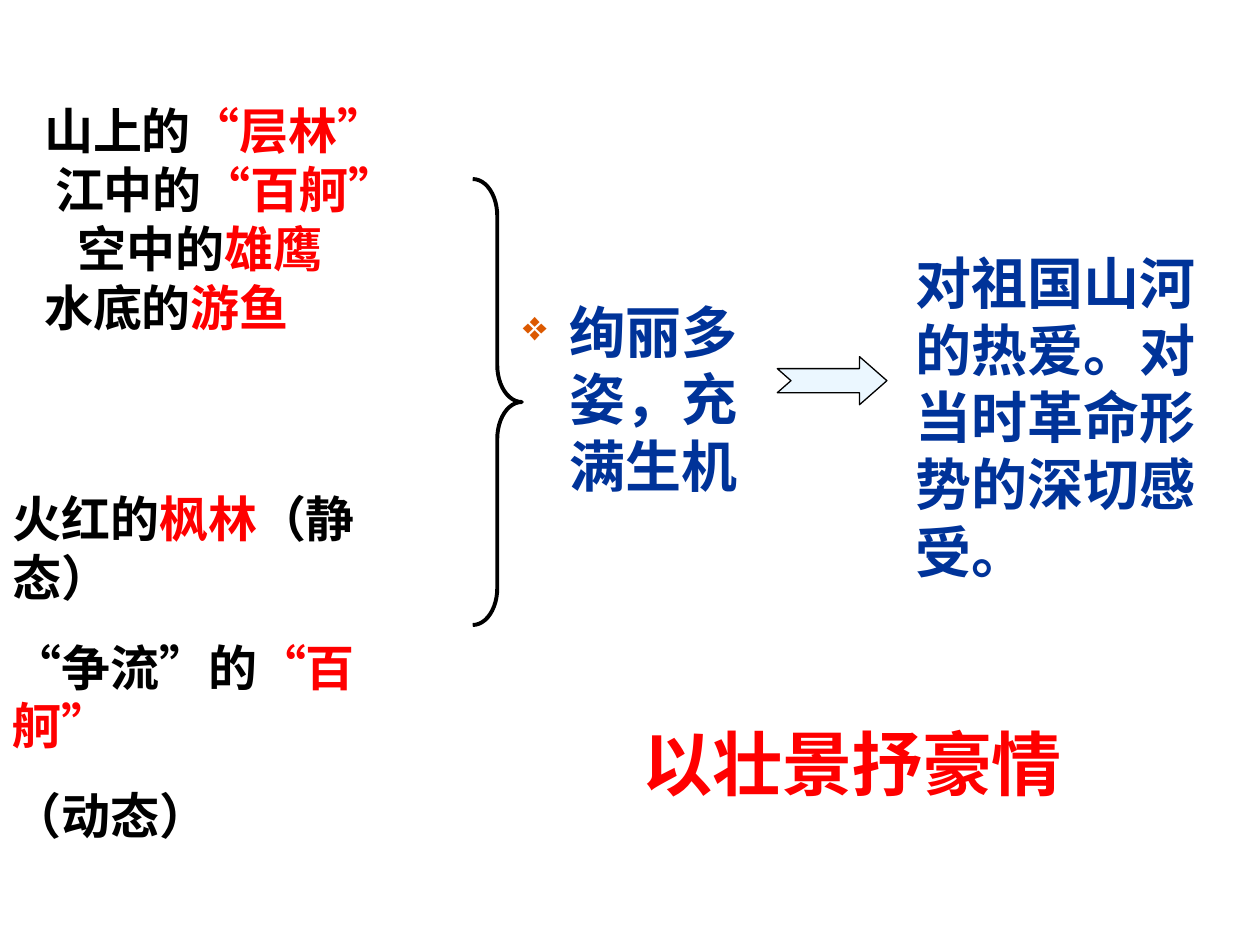
from lxml.etree import SubElement
from pptx import Presentation
from pptx.dml.color import RGBColor
from pptx.enum.lang import MSO_LANGUAGE_ID as Lang
from pptx.enum.shapes import MSO_SHAPE as Shape
from pptx.oxml.ns import qn
from pptx.util import Cm, Pt

BLACK = RGBColor(0x00, 0x00, 0x00)
RED = RGBColor(0xFF, 0x00, 0x00)
BLUE = RGBColor(0x00, 0x33, 0x99)
PALE = RGBColor(0xEB, 0xF7, 0xFF)
ORANGE = RGBColor(0xDC, 0x59, 0x00)
NOTO = "Noto Sans CJK SC"
ARIAL = "Arial"


class Board:
    """Holds the text style and the current slide."""

    def __init__(self, slide):
        self.slide = slide
        self.lang = Lang.SIMPLIFIED_CHINESE
        self.bold = True

    def text(self, box, lines, size, face, gap=0):
        """Each line is a list of (words, colour) parts."""
        frame = self.slide.shapes.add_textbox(*map(Cm, box)).text_frame
        frame.word_wrap = True
        for i, parts in enumerate(lines):
            para = frame.add_paragraph() if i else frame.paragraphs[0]
            para.space_before = Pt(gap if i else 0)
            for words, color in parts:
                run = para.add_run()
                run.text = words
                self.style(run.font, size, face, color)
        return frame

    def style(self, font, size, face, color):
        font.size, font.bold, font.name = Pt(size), self.bold, face
        font.color.rgb = color
        font.language_id = self.lang
        if face == NOTO:
            SubElement(font._element, qn("a:ea"), typeface=face)

    def indent(self, para, left, first=0):
        props = para._p.get_or_add_pPr()
        props.set("marL", str(Cm(left)))
        props.set("indent", str(Cm(first)))
        return props

    def bullet(self, para, mark, color, hang):
        props = self.indent(para, hang, -hang)
        tint = SubElement(props, qn("a:buClr"))
        SubElement(tint, qn("a:srgbClr"), val=str(color))
        SubElement(props, qn("a:buSzPct"), val="75000")
        SubElement(props, qn("a:buChar"), char=mark)

    def shape(self, kind, box, bends, width, fill=None):
        item = self.slide.shapes.add_shape(kind, *map(Cm, box))
        item.shadow.inherit = False
        for i, bend in enumerate(bends):
            item.adjustments[i] = bend
        if fill is None:
            item.fill.background()
        else:
            item.fill.solid()
            item.fill.fore_color.rgb = fill
        item.line.color.rgb = BLACK
        item.line.width = Pt(width)


def main():
    deck = Presentation()
    deck.slide_width, deck.slide_height = Cm(25.4), Cm(19.05)
    board = Board(deck.slides.add_slide(deck.slide_layouts[6]))

    # Scenes, each line stepped in by its own indent
    scenes = [("山上的", "“层林”", 0), ("江中的", "“百舸”", 0.22),
              ("空中的", "雄鹰", 0.68), ("水底的", "游鱼", 0)]
    lines = [[(place, BLACK), (sight, RED)] for place, sight, _ in scenes]
    frame = board.text((0.64, 1.91, 8.2, 13.41), lines, 28, NOTO)
    for para, (_, _, left) in zip(frame.paragraphs, scenes):
        board.indent(para, left)

    # Still and moving views
    views = [[("火红的", BLACK), ("枫林", RED), ("（静态）", BLACK)],
             [("“争流”的", BLACK), ("“百舸”", RED)],
             [("（动态）", BLACK)]]
    board.text((0, 9.73, 9.09, 9.22), views, 28, NOTO, gap=17.5)

    # Brace, shared quality, arrow and feeling
    board.shape(Shape.RIGHT_BRACE, (9.53, 3.61, 0.99, 8.99), (0.75, 0.5), 2.25)
    frame = board.text((10.29, 5.87, 5.49, 9.22),
                       [[("绚丽多姿，充满生机", BLUE)]], 32, NOTO)
    board.bullet(frame.paragraphs[0], "❖", ORANGE, 0.95)
    board.shape(Shape.NOTCHED_RIGHT_ARROW, (15.67, 7.19, 2.21, 0.97),
                (0.5, 0.57), 0.75, PALE)
    board.text((18.21, 4.88, 6.22, 9.09),
               [[("对祖国山河的热爱。对当时革命形势的深切感受。", BLUE)]], 32, ARIAL)

    # Conclusion
    board.text((12.7, 14.4, 11.4, 1.96), [[("以壮景抒豪情", RED)]], 40, ARIAL)

    deck.save("out.pptx")


if __name__ == "__main__":
    main()
